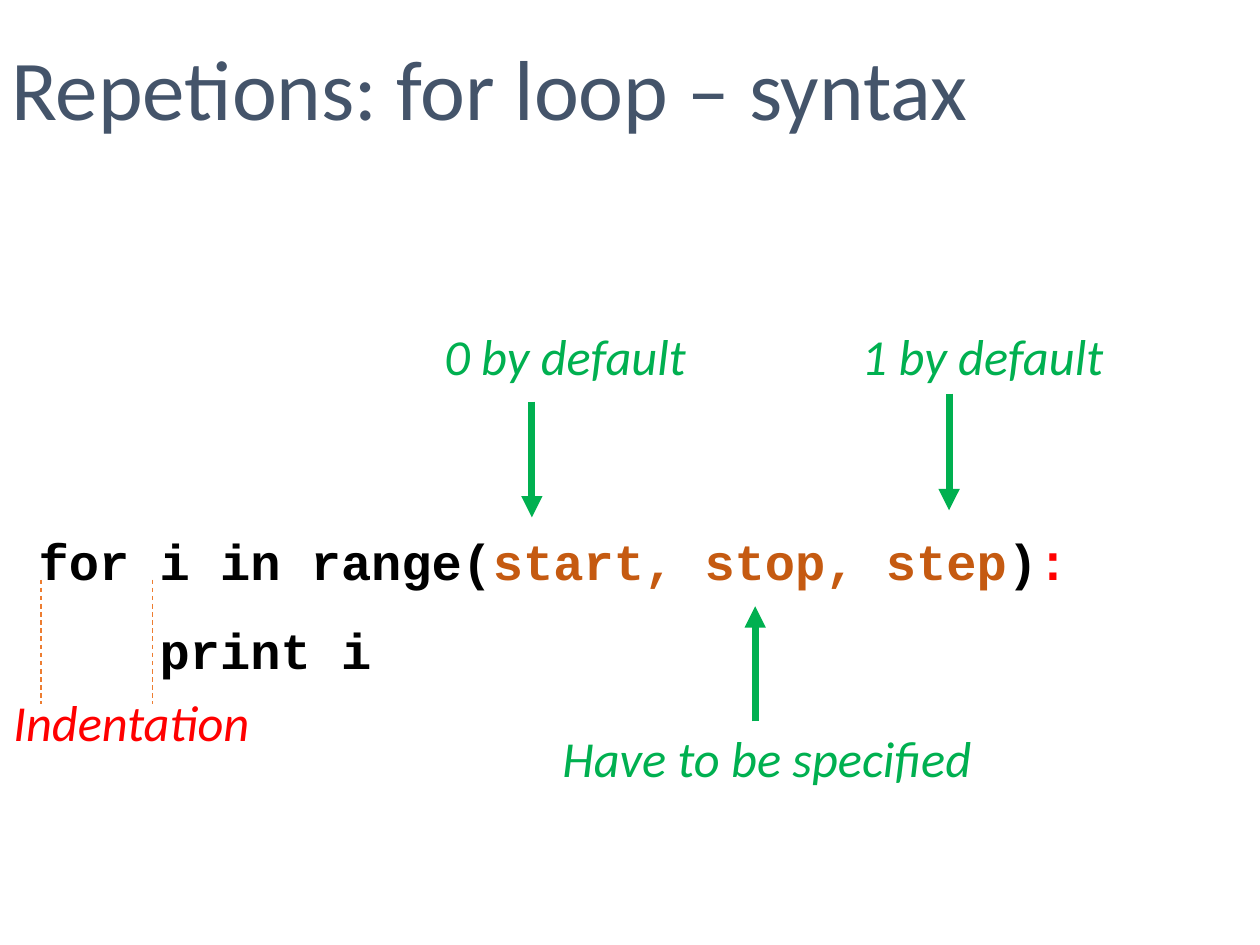
from dataclasses import dataclass
from lxml import etree
from pptx import Presentation
from pptx.dml.color import RGBColor
from pptx.enum.dml import MSO_LINE
from pptx.enum.shapes import MSO_CONNECTOR
from pptx.enum.text import MSO_ANCHOR
from pptx.oxml.ns import qn
from pptx.util import Pt

STRAIGHT = MSO_CONNECTOR.STRAIGHT
DASH = MSO_LINE.DASH
TOP, MIDDLE = MSO_ANCHOR.TOP, MSO_ANCHOR.MIDDLE


@dataclass(frozen=True)
class Theme:
    title: str = "44546A"
    code: str = "000000"
    argument: str = "C55A11"
    warning: str = "FF0000"
    note: str = "00B050"
    guide: str = "ED7D31"
    sans: str = "Calibri"
    mono: str = "Courier New"
    title_size: int = 54
    text_size: int = 32


class Deck:
    def __init__(self, prs, theme):
        self.theme = theme
        self.s = prs.slides.add_slide(prs.slide_layouts[6])

    def box(self, x, y, w, h, anchor=TOP, inset_x=7.2, inset_y=3.6):
        tf = self.s.shapes.add_textbox(Pt(x), Pt(y), Pt(w), Pt(h)).text_frame
        tf.word_wrap = True
        tf.vertical_anchor = anchor
        tf.margin_left = tf.margin_right = Pt(inset_x)
        tf.margin_top = tf.margin_bottom = Pt(inset_y)
        return tf

    def style(self, r, color, size, font, bold=False, italic=False):
        r.font.name, r.font.size = font, Pt(size)
        r.font.bold, r.font.italic = bold, italic
        r.font.color.rgb = RGBColor.from_string(color)

    def title(self, text, x, y, w, h):
        tf = self.box(x, y, w, h, MIDDLE, 2.9, 2.9)
        tf.text = text
        t = self.theme
        self.style(tf.paragraphs[0].runs[0], t.title, t.title_size, t.sans)

    def note(self, text, x, y, w, color):
        tf = self.box(x, y, w, 46)
        tf.text = text
        t = self.theme
        self.style(tf.paragraphs[0].runs[0], color, t.text_size, t.sans, italic=True)

    def code(self, lines, x, y, w, h):
        tf = self.box(x, y, w, h, MIDDLE, 2.9, 2.9)
        t = self.theme
        for i, (indent, parts) in enumerate(lines):
            p = tf.paragraphs[0] if i == 0 else tf.add_paragraph()
            p.space_before = Pt(18)
            pPr = p._p.get_or_add_pPr()
            pPr.set("marL", str(Pt(indent)))
            pPr.set("indent", "0")
            for text, color in parts:
                r = p.add_run()
                r.text = text
                self.style(r, color, t.text_size, t.mono, bold=True)

    def line(self, x, y1, y2, color, width):
        c = self.s.shapes.add_connector(STRAIGHT, Pt(x), Pt(y1), Pt(x), Pt(y2))
        c.line.color.rgb = RGBColor.from_string(color)
        c.line.width = Pt(width)
        etree.SubElement(c._element.spPr, qn("a:effectLst"))
        return c

    def arrow(self, x, y1, y2):
        c = self.line(x, y1, y2, self.theme.note, 4.5)
        etree.SubElement(c.line._get_or_add_ln(), qn("a:tailEnd"), type="triangle")

    def guide(self, x, y1, y2):
        self.line(x, y1, y2, self.theme.guide, 0.75).line.dash_style = DASH


prs = Presentation()
prs.slide_width, prs.slide_height = Pt(800), Pt(600)
theme = Theme()
deck = Deck(prs, theme)

deck.title("Repetions: for loop – syntax", 4.3, 4.3, 794, 101.5)

code_indent = 17.3
block_indent = code_indent + 4 * 0.6 * theme.text_size
deck.code([
    (code_indent, [("for i in range(", theme.code), ("start, stop, step", theme.argument),
                   (")", theme.code), (":", theme.warning)]),
    (block_indent, [("print i", theme.code)]),
], 4.3, 333.4, 794, 101.5)

for text, x, y, w, color in [
    ("0 by default", 275, 203, 176, theme.note),
    ("1 by default", 540, 203, 176, theme.note),
    ("Have to be specified", 350, 458, 369, theme.note),
    ("Indentation", 1.4, 435, 192, theme.warning),
]:
    deck.note(text, x, y, w, color)

for x, y1, y2 in [(337.7, 255, 328.5), (479.5, 458, 385), (602.6, 250, 324)]:
    deck.arrow(x, y1, y2)

for x in (26, 97):
    deck.guide(x, 368, 447)

prs.save("out.pptx")
